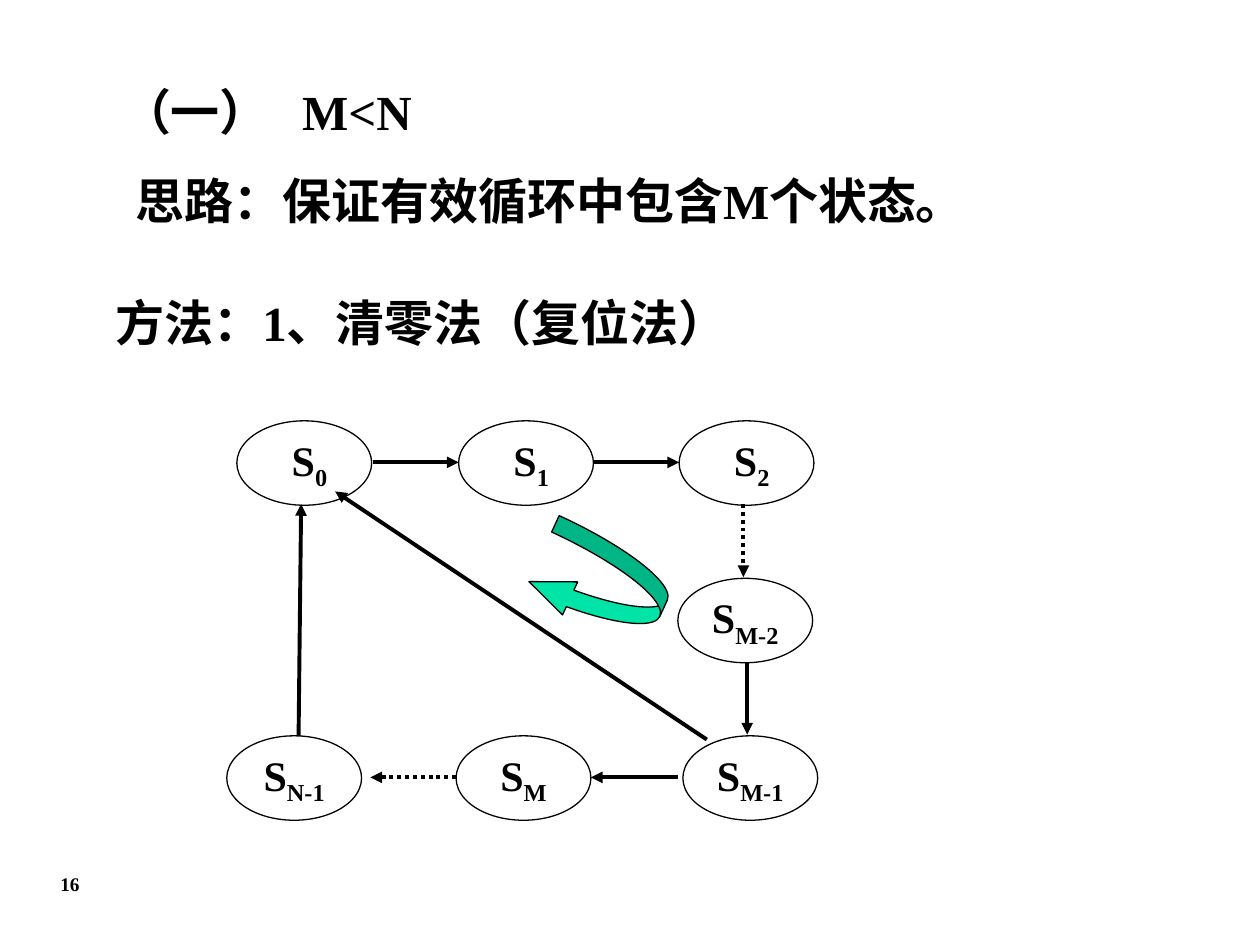
from lxml.etree import SubElement
from pptx import Presentation
from pptx.dml.color import RGBColor
from pptx.enum.dml import MSO_LINE as Dash
from pptx.enum.shapes import MSO_CONNECTOR as Connector, MSO_SHAPE as Shape
from pptx.enum.text import MSO_ANCHOR as Anchor, PP_ALIGN as Align
from pptx.oxml.ns import qn
from pptx.util import Inches, Pt

BLACK, WHITE, GREEN = "000000", "FFFFFF", "00E4A8"


def color(hex_string):
    return RGBColor.from_string(hex_string)


def write(frame, text, size=28, bold=True, align=Align.LEFT, wrap=True,
          spacing=None, subscript=None, tab=None):
    frame.word_wrap = wrap
    paragraph = frame.paragraphs[0]
    if tab:
        tabs = SubElement(paragraph._p.get_or_add_pPr(), qn("a:tabLst"))
        SubElement(tabs, qn("a:tab"), pos=str(Inches(tab)), algn="l")
    paragraph.alignment = align
    if spacing:
        paragraph.line_spacing = spacing
    for part in filter(None, (text, subscript)):
        run = paragraph.add_run()
        run.text = part
        run.font.name = "Times New Roman"
        run.font.size = Pt(size)
        run.font.bold = bold
        run.font.color.rgb = color(BLACK)
    if subscript:
        run.font._element.set("baseline", "-25000")


prs = Presentation()
prs.slide_width, prs.slide_height = Inches(10), Inches(7.5)
slide = prs.slides.add_slide(prs.slide_layouts[6])
shapes = slide.shapes

# Page number, heading, idea and method
for text, box, style in [
    ("16", (0.06, 6.87, 0.99, 0.37), {"size": 11, "align": Align.CENTER}),
    ("（一）\tM<N", (0.87, 0.6, 3.02, 0.75), {"tab": 1.43}),
    ("思路：保证有效循环中包含M个状态。", (0.98, 1.36, 6.82, 0.57), {"spacing": 0.9}),
    ("方法：1、清零法（复位法）", (0.82, 2.27, 6, 0.57), {"align": Align.JUSTIFY}),
]:
    textbox = shapes.add_textbox(*map(Inches, box))
    write(textbox.text_frame, text, **style)

# States of the counter
for letter, index, left, top in [
    (" S", "0", 1.88, 3.34), (" S", "1", 3.64, 3.34), (" S", "2", 5.39, 3.34),
    ("S", "M-2", 5.38, 4.59), ("S", "M-1", 5.42, 5.84),
    ("S", "M", 3.62, 5.84), ("S", "N-1", 1.8, 5.84),
]:
    state = shapes.add_shape(Shape.OVAL, Inches(left), Inches(top),
                             Inches(1.07), Inches(0.67))
    state.shadow.inherit = False
    state.fill.solid()
    state.fill.fore_color.rgb = color(WHITE)
    state.line.color.rgb = color(BLACK)
    state.line.width = Pt(0.75)
    state.text_frame.vertical_anchor = Anchor.MIDDLE
    write(state.text_frame, letter, size=24, align=Align.CENTER,
          wrap=False, subscript=index)

# Transitions; dotted ones skip over states
for start_x, start_y, end_x, end_y, dotted in [
    (2.96, 3.67, 3.64, 3.67, False),
    (4.71, 3.67, 5.39, 3.67, False),
    (5.9, 4, 5.9, 4.58, True),
    (5.93, 5.25, 5.93, 5.83, False),
    (5.38, 6.17, 4.69, 6.17, False),
    (3.62, 6.17, 2.94, 6.17, True),
    (2.37, 5.84, 2.39, 4, False),
    (5.61, 5.87, 2.66, 3.9, False),
]:
    transition = shapes.add_connector(
        Connector.STRAIGHT, Inches(start_x), Inches(start_y),
        Inches(end_x), Inches(end_y))
    transition.line.color.rgb = color(BLACK)
    transition.line.width = Pt(2.25)
    if dotted:
        transition.line.dash_style = Dash.ROUND_DOT
    SubElement(transition.line._get_or_add_ln(), qn("a:tailEnd"), type="triangle")
    SubElement(transition._element.spPr, qn("a:effectLst"))

# Direction of the shortened cycle
cycle = shapes.add_shape(Shape.CURVED_LEFT_ARROW, Inches(4.24), Inches(4.28),
                         Inches(1.06), Inches(0.72))
cycle.rotation = 24.6
for position, value in enumerate((0.2, 0.4, 0.49)):
    cycle.adjustments[position] = value
cycle.shadow.inherit = False
cycle.fill.solid()
cycle.fill.fore_color.rgb = color(GREEN)
cycle.line.color.rgb = color(BLACK)
cycle.line.width = Pt(0.75)

prs.save("out.pptx")
